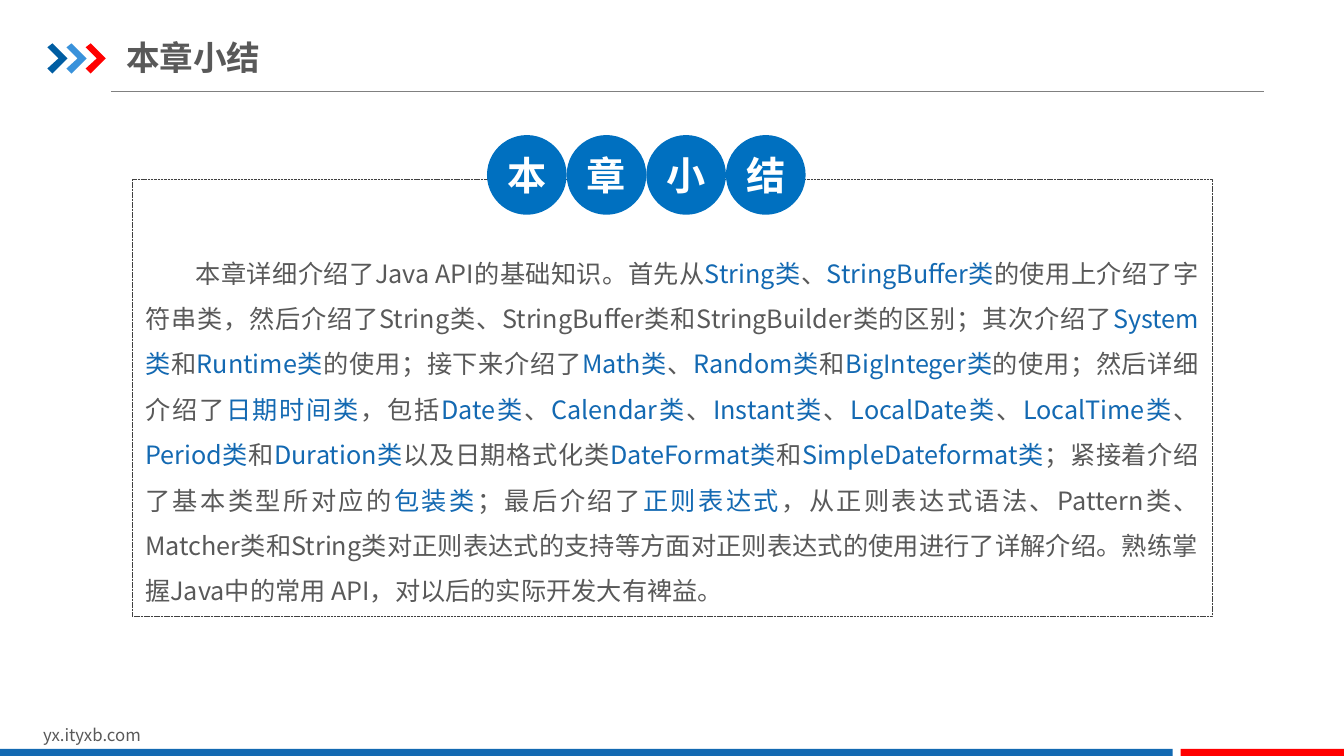
from dataclasses import dataclass

from lxml.etree import SubElement
from pptx import Presentation
from pptx.dml.color import RGBColor
from pptx.enum.dml import MSO_LINE
from pptx.enum.shapes import MSO_CONNECTOR, MSO_SHAPE
from pptx.enum.text import MSO_ANCHOR, MSO_AUTO_SIZE, PP_ALIGN
from pptx.oxml.ns import qn
from pptx.shapes.autoshape import Shape
from pptx.slide import Slide
from pptx.text.text import TextFrame
from pptx.util import Inches, Pt

FONT = "Noto Sans CJK SC"
GREY = "595959"
BLUE = "1369B2"
RED = "FF0000"
CIRCLE_BLUE = "0070C0"
WHITE = "FFFFFF"

HEADING = "本章小结"
SUMMARY = (
    "本章详细介绍了Java API的基础知识。首先从*String类*、*StringBuffer类*的使用上介绍了"
    "字符串类，然后介绍了String类、StringBuffer类和StringBuilder类的区别；其次介绍了"
    "*System类*和*Runtime类*的使用；接下来介绍了*Math类*、*Random类*和*BigInteger类*的使用；"
    "然后详细介绍了*日期时间类*，包括*Date类*、*Calendar类*、*Instant类*、*LocalDate类*、"
    "*LocalTime类*、*Period类*和*Duration类*以及日期格式化类*DateFormat类*和"
    "*SimpleDateformat类*；紧接着介绍了基本类型所对应的*包装类*；最后介绍了*正则表达式*，从"
    "正则表达式语法、Pattern类、Matcher类和String类对正则表达式的支持等方面对正则表达"
    "式的使用进行了详解介绍。熟练掌握Java中的常用 API，对以后的实际开发大有裨益。"
)


@dataclass
class Box:
    left: float
    top: float
    width: float
    height: float

    def lengths(self) -> tuple[Inches, Inches, Inches, Inches]:
        return Inches(self.left), Inches(self.top), Inches(self.width), Inches(self.height)


@dataclass
class Chevron:
    left: float
    color: str


@dataclass
class Bar:
    box: Box
    color: str


@dataclass
class Badge:
    box: Box
    character: str


def rgb(value: str) -> RGBColor:
    return RGBColor.from_string(value)


def fill_shape(shape: Shape, color: str) -> None:
    shape.shadow.inherit = False
    shape.fill.solid()
    shape.fill.fore_color.rgb = rgb(color)
    shape.line.fill.background()


def write_text(frame: TextFrame, text: str, size: float, color: str,
               bold: bool = False, align: PP_ALIGN = PP_ALIGN.LEFT) -> None:
    paragraph = frame.paragraphs[0]
    paragraph.alignment = align
    for index, part in enumerate(text.split("*")):
        run = paragraph.add_run()
        run.text = part
        if index % 2:
            run.font.color.rgb = rgb(BLUE)
    font = paragraph.font
    font.name = FONT
    font.size = Pt(size)
    font.bold = bold
    font.color.rgb = rgb(color)
    for properties in paragraph._p.iter(qn("a:defRPr")):
        SubElement(properties, qn("a:ea"), typeface=FONT)


def set_margins(frame: TextFrame, horizontal: float, vertical: float) -> None:
    frame.margin_left = frame.margin_right = Inches(horizontal)
    frame.margin_top = frame.margin_bottom = Inches(vertical)


def draw_rule(slide: Slide) -> None:
    rule = slide.shapes.add_connector(
        MSO_CONNECTOR.STRAIGHT, Inches(1.1), Inches(0.91), Inches(12.54), Inches(0.91))
    rule.line.color.rgb = rgb("808080")
    rule.line.width = Pt(0.75)
    SubElement(rule._element.spPr, qn("a:effectLst"))


def draw_chevron(slide: Slide, chevron: Chevron) -> None:
    outline = [(0, 0.47), (0.05, 0.43), (0.2, 0.58), (0.05, 0.73), (0, 0.68), (0.11, 0.58)]
    points = [(Inches(chevron.left + x), Inches(y)) for x, y in outline]
    builder = slide.shapes.build_freeform(*points[0])
    builder.add_line_segments(points[1:], close=True)
    fill_shape(builder.convert_to_shape(), chevron.color)


def draw_bar(slide: Slide, bar: Bar) -> None:
    fill_shape(slide.shapes.add_shape(MSO_SHAPE.RECTANGLE, *bar.box.lengths()), bar.color)


def draw_badge(slide: Slide, badge: Badge) -> None:
    circle = slide.shapes.add_shape(MSO_SHAPE.OVAL, *badge.box.lengths())
    fill_shape(circle, CIRCLE_BLUE)
    frame = circle.text_frame
    set_margins(frame, 0, 0)
    frame.vertical_anchor = MSO_ANCHOR.MIDDLE
    write_text(frame, badge.character, 28, WHITE, True, PP_ALIGN.CENTER)


def draw_title(slide: Slide) -> None:
    title = slide.shapes.title
    title.left, title.top, title.width, title.height = Box(1.25, 0.29, 6.2, 0.55).lengths()
    frame = title.text_frame
    frame.auto_size = MSO_AUTO_SIZE.NONE
    frame.vertical_anchor = MSO_ANCHOR.MIDDLE
    set_margins(frame, 0, 0.07)
    write_text(frame, HEADING, 24, GREY, True)


def draw_footer(slide: Slide) -> None:
    footer = slide.shapes.add_textbox(*Box(0.33, 7.14, 3.18, 0.3).lengths())
    footer.text_frame.word_wrap = True
    write_text(footer.text_frame, "yx.ityxb.com", 12, GREY)


def draw_summary(slide: Slide) -> None:
    summary = slide.shapes.add_textbox(*Box(1.31, 2.34, 10.71, 3.77).lengths())
    frame = summary.text_frame
    frame.word_wrap = True
    set_margins(frame, 0.13, 0.07)
    paragraph = frame.paragraphs[0]
    paragraph.line_spacing = 1.5
    paragraph._p.get_or_add_pPr().set("indent", str(Inches(0.5)))
    write_text(frame, SUMMARY, 18, GREY, align=PP_ALIGN.JUSTIFY)


def draw_frame(slide: Slide) -> None:
    border = slide.shapes.add_shape(
        MSO_SHAPE.ROUNDED_RECTANGLE, *Box(1.31, 1.78, 10.71, 4.33).lengths())
    border.adjustments[0] = 0
    border.shadow.inherit = False
    border.fill.background()
    border.line.color.rgb = rgb("404040")
    border.line.width = Pt(0.25)
    border.line.dash_style = MSO_LINE.SQUARE_DOT


def main() -> None:
    presentation = Presentation()
    presentation.slide_width = Inches(13.33)
    presentation.slide_height = Inches(7.5)
    slide = presentation.slides.add_slide(presentation.slide_layouts[5])

    draw_rule(slide)
    for index, color in enumerate(("005DA2", "3992DB", RED)):
        draw_chevron(slide, Chevron(0.47 + 0.19 * index, color))
    draw_footer(slide)
    for bar in (Bar(Box(0, 7.43, 11.63, 0.09), BLUE), Bar(Box(11.71, 7.43, 1.63, 0.09), RED)):
        draw_bar(slide, bar)
    draw_title(slide)
    draw_summary(slide)
    draw_frame(slide)
    diameter = 0.79
    for index, character in enumerate(HEADING):
        draw_badge(slide, Badge(Box(4.83 + diameter * index, 1.34, diameter, diameter), character))

    presentation.save("out.pptx")


if __name__ == "__main__":
    main()
